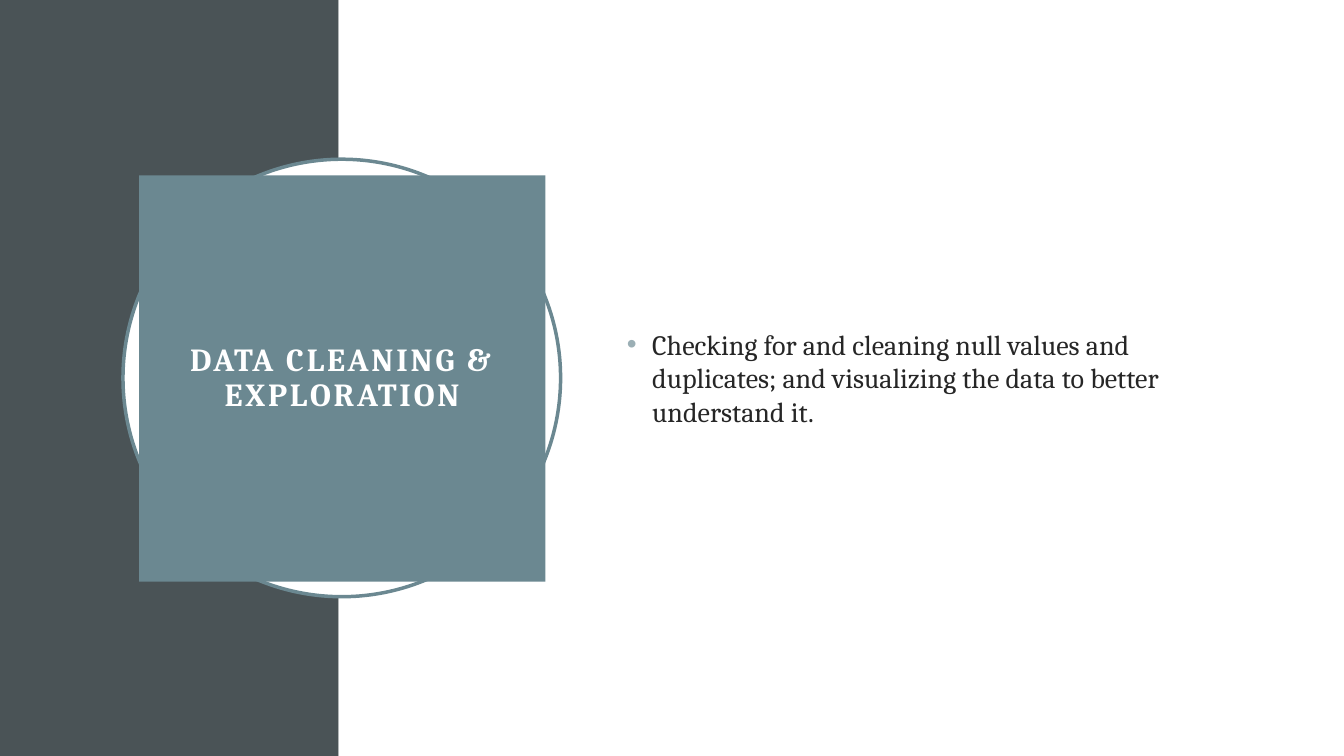
import pptx
import pptx.util
import pptx.dml.color
import pptx.enum.shapes
import pptx.enum.text
import pptx.oxml
import lxml.etree

Inches = pptx.util.Inches
Pt = pptx.util.Pt
SHAPES = pptx.enum.shapes.MSO_SHAPE
ALIGN = pptx.enum.text.PP_ALIGN
SLATE, TEAL, WHITE = "4A5356", "6B8891", "FFFFFF"


def color(value):
    return pptx.dml.color.RGBColor.from_string(value)


def write(box, text, size, ink, align, bold=False, inset=0.1, spacing=0):
    frame = box.text_frame
    frame.word_wrap = True
    frame.auto_size = pptx.enum.text.MSO_AUTO_SIZE.NONE
    frame.vertical_anchor = pptx.enum.text.MSO_ANCHOR.MIDDLE
    frame.margin_left = frame.margin_right = Inches(inset)
    frame.margin_top = frame.margin_bottom = Inches(inset / 2)
    para = frame.paragraphs[0]
    para.alignment = align
    span = para.add_run()
    span.text = text
    span.font.name = "Cambria"
    span.font.size = Pt(size)
    span.font.bold = bold
    span.font.color.rgb = color(ink)
    span.font._element.set("spc", str(spacing * 100))
    return para


deck = pptx.Presentation()
deck.slide_width = Inches(13.33)
deck.slide_height = Inches(7.5)
page = deck.slides.add_slide(deck.slide_layouts[5])

for kind, left, top, width, height, fill, outline in (
    (SHAPES.RECTANGLE, 0, 0, 3.36, 7.5, SLATE, None),
    (SHAPES.RECTANGLE, 3.36, 0, 9.97, 7.5, WHITE, None),
    (SHAPES.OVAL, 1.22, 1.58, 4.34, 4.34, WHITE, TEAL),
):
    shape = page.shapes.add_shape(
        kind, Inches(left), Inches(top), Inches(width), Inches(height))
    shape.shadow.inherit = False
    shape.fill.solid()
    shape.fill.fore_color.rgb = color(fill)
    if outline:
        shape.line.color.rgb = color(outline)
        shape.line.width = Pt(2.5)
    else:
        shape.line.fill.background()

title = page.shapes.title
title.left, title.top = Inches(1.38), Inches(1.74)
title.width = title.height = Inches(4.03)
title.fill.solid()
title.fill.fore_color.rgb = color(TEAL)
heading = write(title, "DATA CLEANING & EXPLORATION", 23, WHITE, ALIGN.CENTER,
                bold=True, inset=0.2, spacing=2)
heading.line_spacing = 0.9
page.shapes._spTree.append(title._element)

body = page.shapes.add_textbox(
    Inches(6.12), Inches(1.53), Inches(5.82), Inches(4.43))
point = write(
    body,
    "Checking for and cleaning null values and duplicates; "
    "and visualizing the data to better understand it.",
    20, "262626", ALIGN.LEFT)
point.space_before = Pt(10)
properties = point._p.get_or_add_pPr()
properties.set("marL", str(Inches(0.25)))
properties.set("indent", str(Inches(-0.25)))
bullet_color = lxml.etree.SubElement(properties, pptx.oxml.ns.qn("a:buClr"))
lxml.etree.SubElement(bullet_color, pptx.oxml.ns.qn("a:srgbClr"), val="9BAFB5")
lxml.etree.SubElement(properties, pptx.oxml.ns.qn("a:buFont"), typeface="Arial")
lxml.etree.SubElement(properties, pptx.oxml.ns.qn("a:buChar"), char="•")

deck.save("out.pptx")
